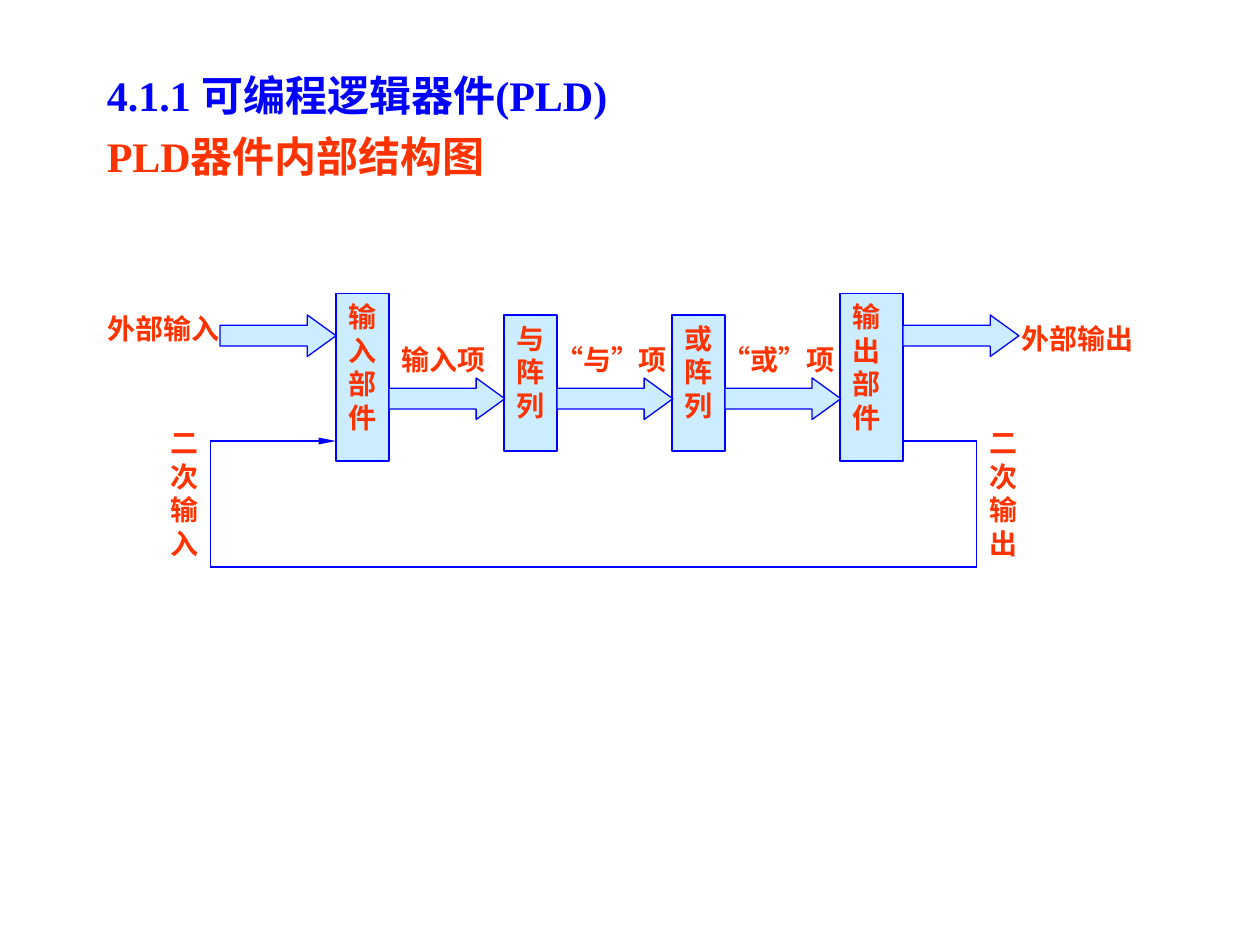
from typing import NamedTuple

from pptx import Presentation
from pptx.dml.color import RGBColor
from pptx.enum.shapes import MSO_CONNECTOR as Connector, MSO_SHAPE as Preset
from pptx.enum.text import MSO_ANCHOR as Anchor, MSO_AUTO_SIZE as AutoSize, PP_ALIGN as Align
from pptx.oxml.ns import qn
from pptx.util import Inches, Pt
from lxml.etree import SubElement

COLORS = {"blue": "0000FF", "orange": "FF3300", "pale": "CCECFF"}
FONT = {"name": "Times New Roman", "bold": True}
PITCH = 4 / 3  # distance between the left edges of neighbouring blocks
FIRST_LEFT = 8 / 3
NARROW, WIDE = 0.42, 0.5
ARROW_WIDTH, ARROW_HEIGHT = 0.92, 0.33
FEEDBACK_LEFT, FEEDBACK_RIGHT = 1.67, 7.75
FEEDBACK_TOP, FEEDBACK_BOTTOM = 3.5, 4.5


class Block(NamedTuple):
    lines: list[str]
    top: float
    width: float
    height: float


class Label(NamedTuple):
    lines: list[str]
    left: float
    top: float
    width: float
    height: float = 0.37


def rgb(color: str) -> RGBColor:
    return RGBColor.from_string(COLORS[color])


def write(frame, lines: list[str], align, size: int = 16, colors: tuple = ("orange",)) -> None:
    for index, line in enumerate(lines):
        paragraph = frame.paragraphs[0] if index == 0 else frame.add_paragraph()
        paragraph.alignment = align
        run = paragraph.add_run()
        run.text = line
        for key, value in {**FONT, "size": Pt(size)}.items():
            setattr(run.font, key, value)
        run.font.color.rgb = rgb(colors[index % len(colors)])


def add_filled(slide, preset, left: float, top: float, width: float, height: float):
    shape = slide.shapes.add_shape(preset, Inches(left), Inches(top), Inches(width), Inches(height))
    shape.shadow.inherit = False
    shape.fill.solid()
    shape.fill.fore_color.rgb = rgb("pale")
    shape.line.color.rgb = rgb("blue")
    shape.line.width = Pt(0.75)
    return shape


def add_block(slide, block: Block, left: float) -> None:
    shape = add_filled(slide, Preset.RECTANGLE, left, block.top, block.width, block.height)
    shape.text_frame.word_wrap = True
    shape.text_frame.vertical_anchor = Anchor.TOP
    write(shape.text_frame, block.lines, Align.JUSTIFY)


def add_arrow(slide, left: float, top: float) -> None:
    arrow = add_filled(slide, Preset.RIGHT_ARROW, left, top, ARROW_WIDTH, ARROW_HEIGHT)
    arrow.adjustments[1] = 0.69


def add_label(slide, label: Label) -> None:
    box = slide.shapes.add_textbox(*map(Inches, label[1:]))
    box.text_frame.word_wrap = False
    box.text_frame.auto_size = AutoSize.SHAPE_TO_FIT_TEXT
    write(box.text_frame, label.lines, Align.CENTER)


def add_line(slide, start: tuple, end: tuple):
    line = slide.shapes.add_connector(Connector.STRAIGHT, *map(Inches, start + end))
    line.line.color.rgb = rgb("blue")
    line.line.width = Pt(0.75)
    SubElement(line._element.spPr, qn("a:effectLst"))
    return line


def add_title(slide) -> None:
    title = slide.shapes.add_textbox(*map(Inches, (0.75, 0.5, 8.5, 1.08)))
    title.text_frame.word_wrap = True
    write(title.text_frame, ["4.1.1 可编程逻辑器件(PLD)", "PLD器件内部结构图"],
          Align.LEFT, 24, ("blue", "orange"))
    for paragraph in title.text_frame.paragraphs:
        properties = paragraph._p.get_or_add_pPr()
        properties.set("marL", str(Inches(0.38)))
        properties.set("indent", str(-Inches(0.38)))
    title.text_frame.paragraphs[1].space_before = Pt(6)


BLOCKS = [
    Block(["输入", "部件"], 2.33, NARROW, 1.33),
    Block(list("与阵列"), 2.5, NARROW, 1.08),
    Block(list("或阵列"), 2.5, NARROW, 1.08),
    Block(list("输出部件"), 2.33, WIDE, 1.33),
]
# Widths leave a little slack so that each label stays on one line
LABELS = [
    Label(["外部输入"], 0.74, 2.42, 1.12),
    Label(["外部输出"], 7.99, 2.5, 1.12),
    Label(list("二次输出"), FEEDBACK_RIGHT, 3.33, 0.42, 1.17),
    Label(list("二次输入"), 1.25, 3.33, 0.42, 1.17),
    Label(["输入项"], 3.07, 2.67, 0.9),
    Label(["“与”项"], 4.29, 2.67, 1.12),
    Label(["“或”项"], 5.62, 2.67, 1.12),
]


def main() -> None:
    deck = Presentation()
    deck.slide_width, deck.slide_height = Inches(10), Inches(7.5)
    slide = deck.slides.add_slide(deck.slide_layouts[6])
    add_title(slide)

    # Blocks of the device, left to right
    lefts = [FIRST_LEFT + index * PITCH for index in range(len(BLOCKS))]
    for block, left in zip(BLOCKS, lefts):
        add_block(slide, block, left)

    # Arrows between the blocks, then the outer input and output
    for left in lefts[:-1]:
        add_arrow(slide, left + NARROW, 3)
    output_right = lefts[-1] + WIDE
    for left in (FIRST_LEFT - ARROW_WIDTH, output_right):
        add_arrow(slide, left, 2.5)

    # Feedback loop from the output block to the input block
    corners = [
        (output_right, FEEDBACK_TOP), (FEEDBACK_RIGHT, FEEDBACK_TOP),
        (FEEDBACK_RIGHT, FEEDBACK_BOTTOM), (FEEDBACK_LEFT, FEEDBACK_BOTTOM),
        (FEEDBACK_LEFT, FEEDBACK_TOP), (FIRST_LEFT, FEEDBACK_TOP),
    ]
    feedback = [add_line(slide, start, end) for start, end in zip(corners, corners[1:])]
    SubElement(feedback[-1].line._get_or_add_ln(), qn("a:tailEnd"), type="triangle", w="sm", len="lg")

    for label in LABELS:
        add_label(slide, label)
    deck.save("out.pptx")


if __name__ == "__main__":
    main()
